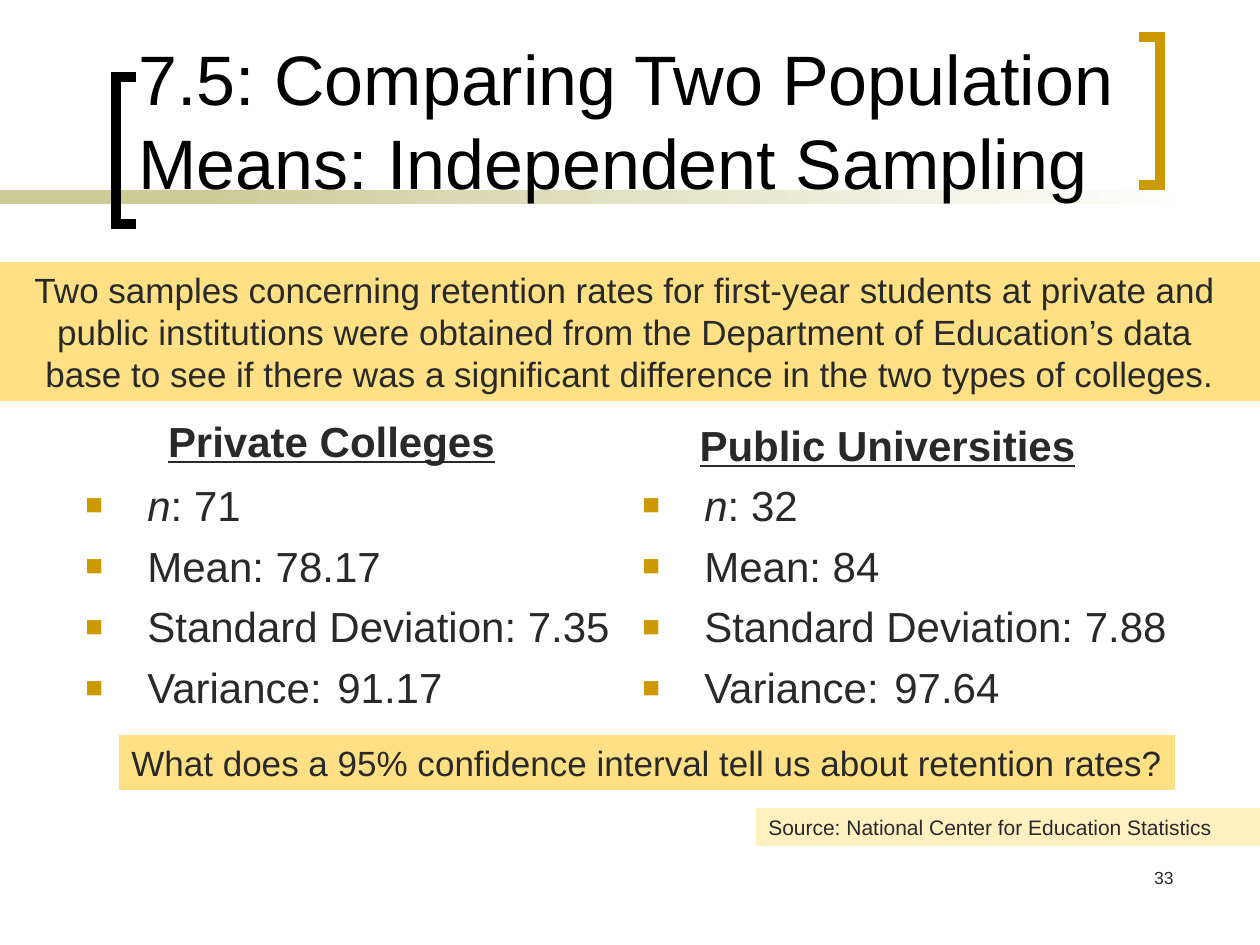
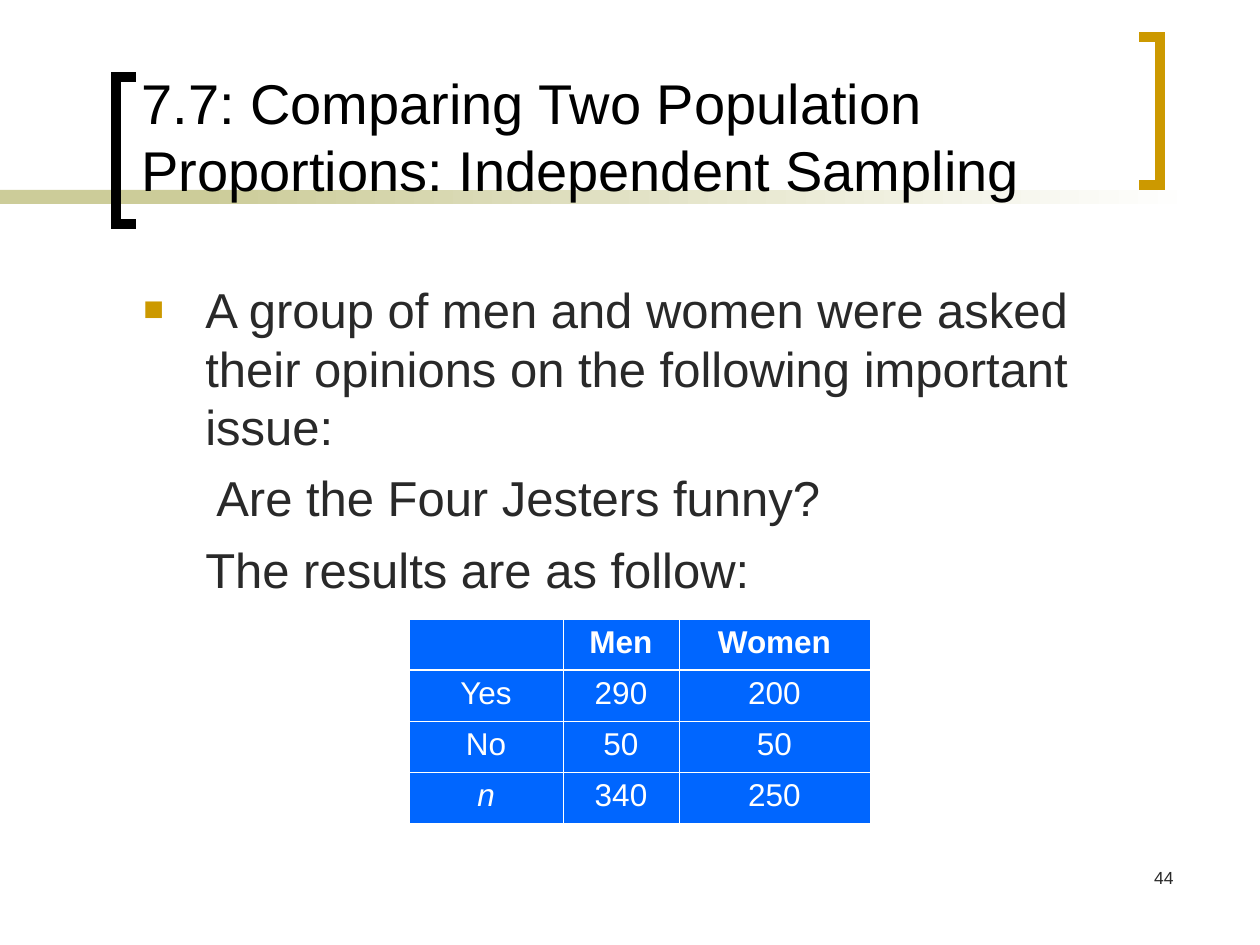
"""Build two statistics slides on comparing independent samples."""
from lxml import etree
from pptx import Presentation
from pptx.dml.color import RGBColor
from pptx.enum.shapes import MSO_SHAPE
from pptx.enum.text import MSO_ANCHOR, PP_ALIGN
from pptx.oxml.ns import qn
from pptx.util import Pt

PX = 914400 / 126
RECT = MSO_SHAPE.RECTANGLE
TOP, BOTTOM = MSO_ANCHOR.TOP, MSO_ANCHOR.BOTTOM
LEFT, CENTER, RIGHT = PP_ALIGN.LEFT, PP_ALIGN.CENTER, PP_ALIGN.RIGHT

THEME = {
    "font": "Arial",
    "black": "000000", "ink": "292929", "white": "FFFFFF", "gold": "CC9900",
    "olive": "CCCC99", "band": "FFE085", "pale": "FFF0C2", "table": "0066FF",
    "title": 40, "long_title": 32, "lead": 28, "body": 24,
    "note": 20, "cell": 18, "source": 12, "number": 10,
    "bracket": 6, "thin": 0.45, "thick": 1.47,
}
HANG = 62
TAB = 252

BRACKETS = [
    ("black", [(136, 224), (116, 224), (116, 77), (136, 77)]),
    ("gold", [(1139, 37), (1160, 37), (1160, 185), (1139, 185)]),
]
RULE_TOP, RULE_HEIGHT = 190, 14

SAMPLES = [
    {"heading": "Private Colleges", "heading_box": (53, 388, 557, 84), "left": 73,
     "facts": [": 71", "Mean: 78.17", "Standard Deviation: 7.35", "Variance:\t91.17"]},
    {"heading": "Public Universities", "heading_box": (609, 388, 557, 88), "left": 630,
     "facts": [": 32", "Mean: 84", "Standard Deviation: 7.88", "Variance:\t97.64"]},
]
NOTES = [
    {"box": (0, 262, 1260, 139), "fill": "band", "size": "note", "align": CENTER, "wrap": True,
     "lines": [
         "Two samples concerning retention rates for first-year students at private and ",
         "public institutions were obtained from the Department of Education’s data ",
         "base to see if there was a significant difference in the two types of colleges."]},
    {"box": (119, 735, 1056, 55), "fill": "band", "size": "note", "align": LEFT, "wrap": False,
     "lines": ["What does a 95% confidence interval tell us about retention rates?"]},
    {"box": (756, 808, 504, 38), "fill": "pale", "size": "source", "align": LEFT, "wrap": True,
     "lines": ["Source: National Center for Education Statistics"]},
]
SURVEY = [
    {"runs": [("A group of men and women were asked their opinions on "
               "the following important issue:", {})], "bullet": True},
    {"runs": [("Are the Four Jesters funny?", {})], "margin": HANG + 11},
    {"runs": [("The results are as follow:", {})], "margin": HANG},
]
VOTES = [
    ["", "Men", "Women"],
    ["Yes", "290", "200"],
    ["No", "50", "50"],
    ["n", "340", "250"],
]
VOTE_COLUMNS = [154, 116, 191]
VOTE_ROW = 51


def emu(px):
    return round(px * PX)


def rgb(name):
    return RGBColor.from_string(THEME[name])


def place(box):
    return [emu(v) for v in box]


def add_run(p, text, size, color="ink", **fmt):
    r = p.add_run()
    r.text = text
    r.font.color.rgb = rgb(color)
    values = {"name": THEME["font"], "size": Pt(THEME[size]), **fmt}
    for key, value in values.items():
        setattr(r.font, key, value)


def add_bullet(pPr):
    color = etree.SubElement(pPr, qn("a:buClr"))
    etree.SubElement(color, qn("a:srgbClr"), val=THEME["gold"])
    etree.SubElement(pPr, qn("a:buSzPct"), val="70000")
    etree.SubElement(pPr, qn("a:buFont"), typeface=THEME["font"])
    etree.SubElement(pPr, qn("a:buChar"), char="■")


def add_tab(pPr):
    tabs = etree.SubElement(pPr, qn("a:tabLst"))
    etree.SubElement(tabs, qn("a:tab"), pos=str(emu(TAB)), algn="l")


def write(sp, paras, size, color="ink", align=LEFT, anchor=TOP, gap=0, wrap=True):
    tf = sp.text_frame
    tf.word_wrap = wrap
    tf.vertical_anchor = anchor
    for i, para in enumerate(paras):
        p = tf.paragraphs[0] if i == 0 else tf.add_paragraph()
        pPr = p._p.get_or_add_pPr()
        bullet = para.get("bullet", False)
        pPr.set("marL", str(emu(HANG if bullet else para.get("margin", 0))))
        pPr.set("indent", str(emu(-HANG if bullet else 0)))
        if bullet:
            add_bullet(pPr)
        if any("\t" in text for text, _ in para["runs"]):
            add_tab(pPr)
        p.alignment = align
        if i and gap:
            p.space_before = Pt(gap)
        for text, fmt in para["runs"]:
            add_run(p, text, size, color, **fmt)


def plain(*lines, **fmt):
    return [{"runs": [(line, fmt)]} for line in lines]


def add_text(s, box, paras, size, **options):
    write(s.shapes.add_textbox(*place(box)), paras, size, **options)


def add_rect(s, box, fill=None):
    sp = s.shapes.add_shape(RECT, *place(box))
    sp.shadow.inherit = False
    sp.line.fill.background()
    if fill:
        sp.fill.solid()
        sp.fill.fore_color.rgb = rgb(fill)
    return sp


def add_bracket(s, color, points):
    builder = s.shapes.build_freeform(*points[0], scale=PX)
    builder.add_line_segments(points[1:], close=False)
    sp = builder.convert_to_shape()
    sp.shadow.inherit = False
    sp.fill.background()
    sp.line.color.rgb = rgb(color)
    sp.line.width = Pt(THEME["bracket"])
    ln = sp._element.spPr.find(qn("a:ln"))
    etree.SubElement(ln, qn("a:miter"), lim="800000")


def add_base(prs, title, title_box, title_size, number):
    s = prs.slides.add_slide(prs.slide_layouts[6])
    add_rect(s, (0, RULE_TOP, 294, RULE_HEIGHT), "olive")
    fade = add_rect(s, (199, RULE_TOP, 998, RULE_HEIGHT))
    fade.fill.gradient()
    fade.fill.gradient_angle = 0
    for stop, color in zip(fade.fill.gradient_stops, ("olive", "white")):
        stop.color.rgb = rgb(color)
    for color, points in BRACKETS:
        add_bracket(s, color, points)
    add_text(s, title_box, plain(title), title_size, color="black", anchor=BOTTOM)
    add_text(s, (924, 861, 262, 63), plain(number), "number", align=RIGHT)
    return s


def add_borders(cell, widths):
    tcPr = cell._tc.get_or_add_tcPr()
    for i, (side, width) in enumerate(widths.items()):
        ln = etree.Element(qn(f"a:ln{side}"), w=str(Pt(width)))
        fill = etree.SubElement(ln, qn("a:solidFill"))
        etree.SubElement(fill, qn("a:srgbClr"), val=THEME["white"])
        tcPr.insert(i, ln)


def add_votes(s, left, top):
    box = (left, top, sum(VOTE_COLUMNS), VOTE_ROW * len(VOTES))
    table = s.shapes.add_table(len(VOTES), len(VOTE_COLUMNS), *place(box)).table
    for column, width in zip(table.columns, VOTE_COLUMNS):
        column.width = emu(width)
    for i, values in enumerate(VOTES):
        table.rows[i].height = emu(VOTE_ROW)
        for j, text in enumerate(values):
            cell = table.cell(i, j)
            cell.fill.solid()
            cell.fill.fore_color.rgb = rgb("table")
            widths = dict.fromkeys("LRTB", THEME["thin"])
            if i < 2:
                widths["B" if i == 0 else "T"] = THEME["thick"]
            add_borders(cell, widths)
            if text:
                p = cell.text_frame.paragraphs[0]
                p.alignment = CENTER
                add_run(p, text, "cell", "white", bold=i == 0, italic=text == "n")


def build_means(prs):
    s = add_base(prs, "7.5: Comparing Two Population Means: Independent Sampling",
                 (126, 53, 1050, 157), "title", "33")
    for sample in SAMPLES:
        add_text(s, sample["heading_box"], plain(sample["heading"], bold=True, underline=True),
                 "body", align=CENTER, anchor=BOTTOM)
        facts = [{"runs": [(fact, {})], "bullet": True} for fact in sample["facts"]]
        facts[0]["runs"].insert(0, ("n", {"italic": True}))
        add_text(s, (sample["left"], 473, 557, 300), facts, "body", gap=6)
    for note in NOTES:
        sp = add_rect(s, note["box"], note["fill"])
        write(sp, plain(*note["lines"]), note["size"], align=note["align"], wrap=note["wrap"])


def build_proportions(prs):
    s = add_base(prs, "7.7: Comparing Two Population Proportions: Independent Sampling",
                 (129, 14, 1027, 195), "long_title", "44")
    add_text(s, (131, 273, 1056, 357), SURVEY, "lead", gap=7)
    add_votes(s, 409, 619)


def main():
    prs = Presentation()
    prs.slide_width, prs.slide_height = emu(1260), emu(945)
    build_means(prs)
    build_proportions(prs)
    prs.save("out.pptx")


if __name__ == "__main__":
    main()
